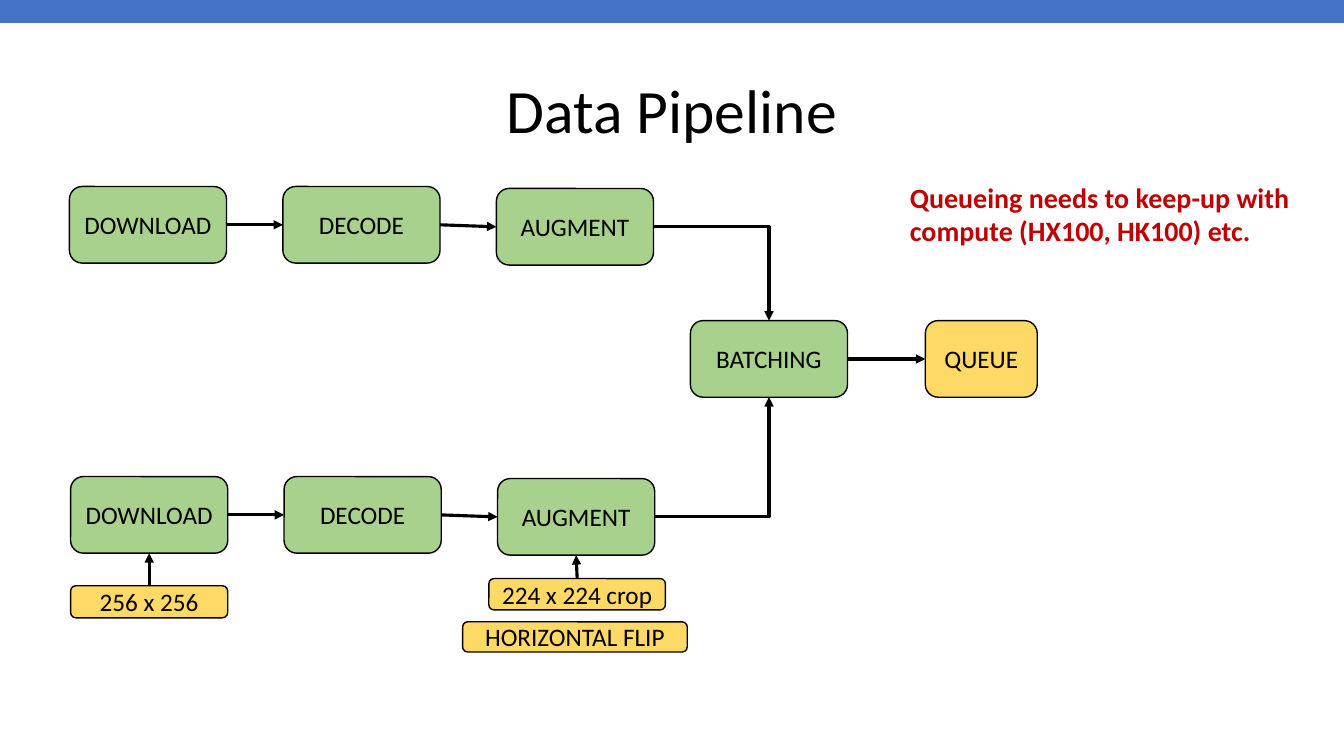
import pptx
import pptx.util
import pptx.dml.color
import pptx.enum.shapes
import pptx.enum.text
import pptx.oxml.ns
from lxml import etree

COLORS = {"bar": "4472C4", "step": "A9D18E", "setting": "FFD966",
          "ink": "000000", "warning": "C00000"}
FONT = "Calibri"
TITLE = "Data Pipeline"
REMARK = "Queueing needs to keep-up with compute (HX100, HK100) etc."
STAGES = ["DOWNLOAD", "DECODE", "AUGMENT"]
LANES = {"upper": (1.75, 4.7), "lower": (1.78, 12.01)}
STAGE_PITCH, STAGE_DROPS = 5.38, [0, 0, 0.05]
STEP_W, STEP_H = 3.96, 1.93
JOINT = [("BATCHING", 17.4, 8.08, STEP_W, STEP_H, "step"),
         ("QUEUE", 23.32, 8.08, 2.82, STEP_H, "setting")]
SETTINGS = [("256 x 256", 1.78, 14.76, 3.96, 0.81, "setting"),
            ("224 x 224 crop", 12.32, 14.58, 4.45, 0.79, "setting"),
            ("HORIZONTAL FLIP", 11.66, 15.67, 5.66, 0.76, "setting")]
TOP, LEFT, BOTTOM, RIGHT = range(4)

Cm, Pt = pptx.util.Cm, pptx.util.Pt
MSO_SHAPE = pptx.enum.shapes.MSO_SHAPE
MSO_CONNECTOR = pptx.enum.shapes.MSO_CONNECTOR
PP_ALIGN = pptx.enum.text.PP_ALIGN
MSO_ANCHOR = pptx.enum.text.MSO_ANCHOR
qn = pptx.oxml.ns.qn

deck = pptx.Presentation()
deck.slide_width, deck.slide_height = Cm(33.87), Cm(19.05)
slide = deck.slides.add_slide(deck.slide_layouts[6])


def rgb(name):
    return pptx.dml.color.RGBColor.from_string(COLORS[name])


def write(shape, text, size=18, color="ink", bold=False, align=PP_ALIGN.CENTER,
          anchor=MSO_ANCHOR.MIDDLE, spacing=None):
    frame = shape.text_frame
    frame.word_wrap = True
    frame.vertical_anchor = anchor
    paragraph = frame.paragraphs[0]
    paragraph.alignment = align
    paragraph.line_spacing = spacing
    run = paragraph.add_run()
    run.text = text
    run.font.name, run.font.size, run.font.bold = FONT, Pt(size), bold
    run.font.color.rgb = rgb(color)


def add_box(text, left, top, width, height, fill):
    box = slide.shapes.add_shape(MSO_SHAPE.ROUNDED_RECTANGLE,
                                 Cm(left), Cm(top), Cm(width), Cm(height))
    box.shadow.inherit = False
    box.fill.solid()
    box.fill.fore_color.rgb = rgb(fill)
    box.line.color.rgb = rgb("ink")
    box.line.width = Pt(1)
    write(box, text)
    return box


def add_arrow(source, source_side, target, target_side, bent=False):
    kind = MSO_CONNECTOR.ELBOW if bent else MSO_CONNECTOR.STRAIGHT
    arrow = slide.shapes.add_connector(kind, 0, 0, 0, 0)
    arrow.begin_connect(source, source_side)
    arrow.end_connect(target, target_side)
    arrow.line.color.rgb = rgb("ink")
    arrow.line.width = Pt(2.25)
    properties = arrow._element.spPr
    if bent:
        properties.find(qn("a:prstGeom")).set("prst", "bentConnector2")
    etree.SubElement(properties.find(qn("a:ln")), qn("a:tailEnd"), type="triangle")
    etree.SubElement(properties, qn("a:effectLst"))


bar = slide.shapes.add_shape(MSO_SHAPE.RECTANGLE, 0, 0, deck.slide_width, Cm(0.58))
bar.shadow.inherit = False
bar.fill.solid()
bar.fill.fore_color.rgb = rgb("bar")
bar.line.fill.background()

title = slide.shapes.add_textbox(Cm(2.33), Cm(1.01), Cm(29.21), Cm(3.68))
write(title, TITLE, size=44, spacing=0.9)

lanes = {}
for lane, (left, top) in LANES.items():
    lanes[lane] = [add_box(stage, left + i * STAGE_PITCH, top + drop,
                           STEP_W, STEP_H, "step")
                   for i, (stage, drop) in enumerate(zip(STAGES, STAGE_DROPS))]
batching, queue = [add_box(*row) for row in JOINT]
resize, crop, flip = [add_box(*row) for row in SETTINGS]

for stages in lanes.values():
    for before, after in zip(stages, stages[1:]):
        add_arrow(before, RIGHT, after, LEFT)
add_arrow(batching, RIGHT, queue, LEFT)
add_arrow(lanes["upper"][-1], RIGHT, batching, TOP, bent=True)
add_arrow(lanes["lower"][-1], RIGHT, batching, BOTTOM, bent=True)
add_arrow(resize, TOP, lanes["lower"][0], BOTTOM)
add_arrow(crop, TOP, lanes["lower"][-1], BOTTOM)

remark = slide.shapes.add_textbox(Cm(22.68), Cm(4.42), Cm(10.24), Cm(1.96))
write(remark, REMARK, size=20, color="warning", bold=True,
      align=PP_ALIGN.LEFT, anchor=MSO_ANCHOR.TOP)

deck.save("out.pptx")
